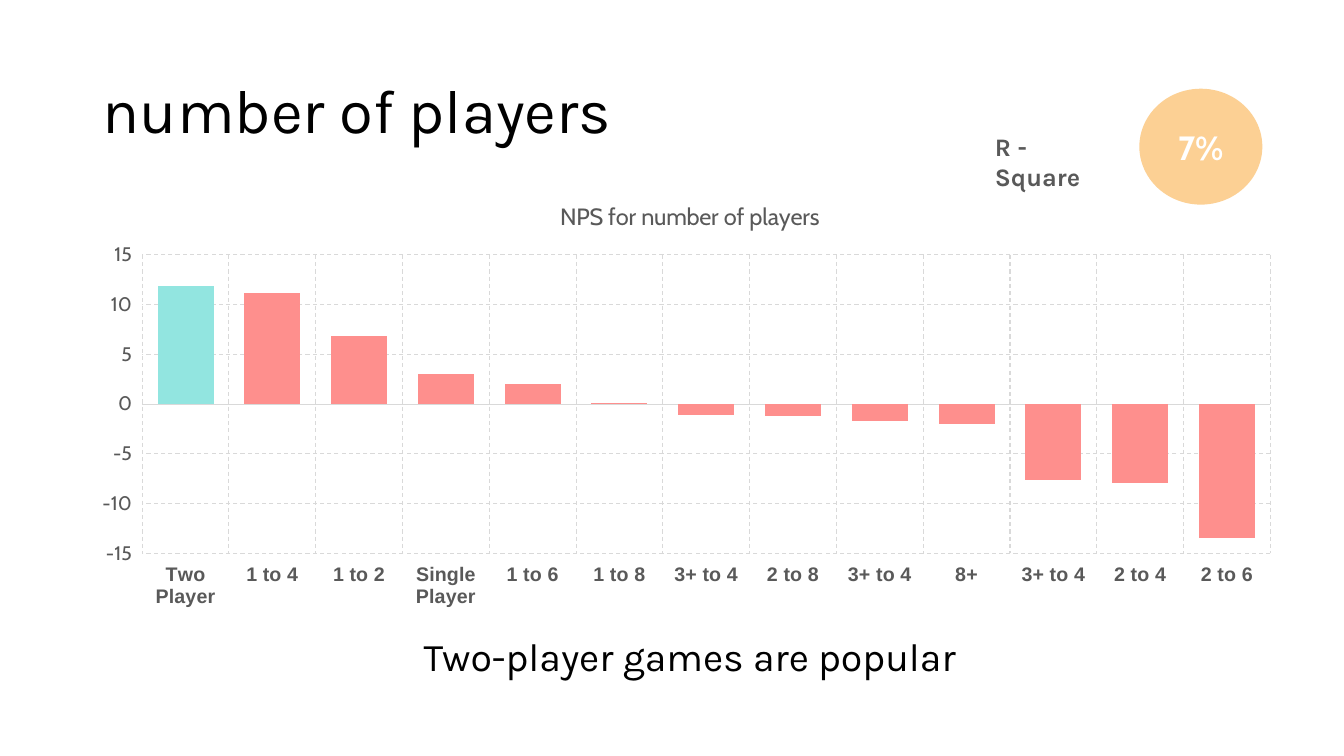
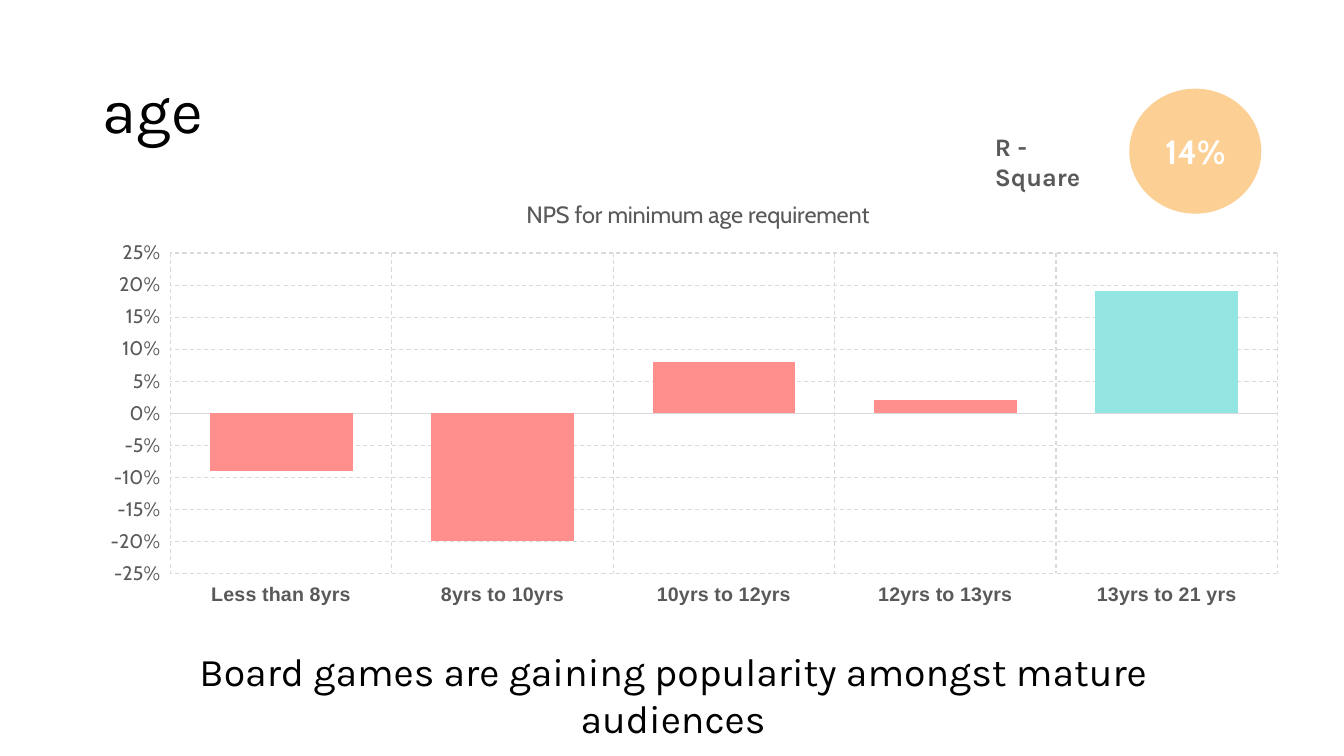
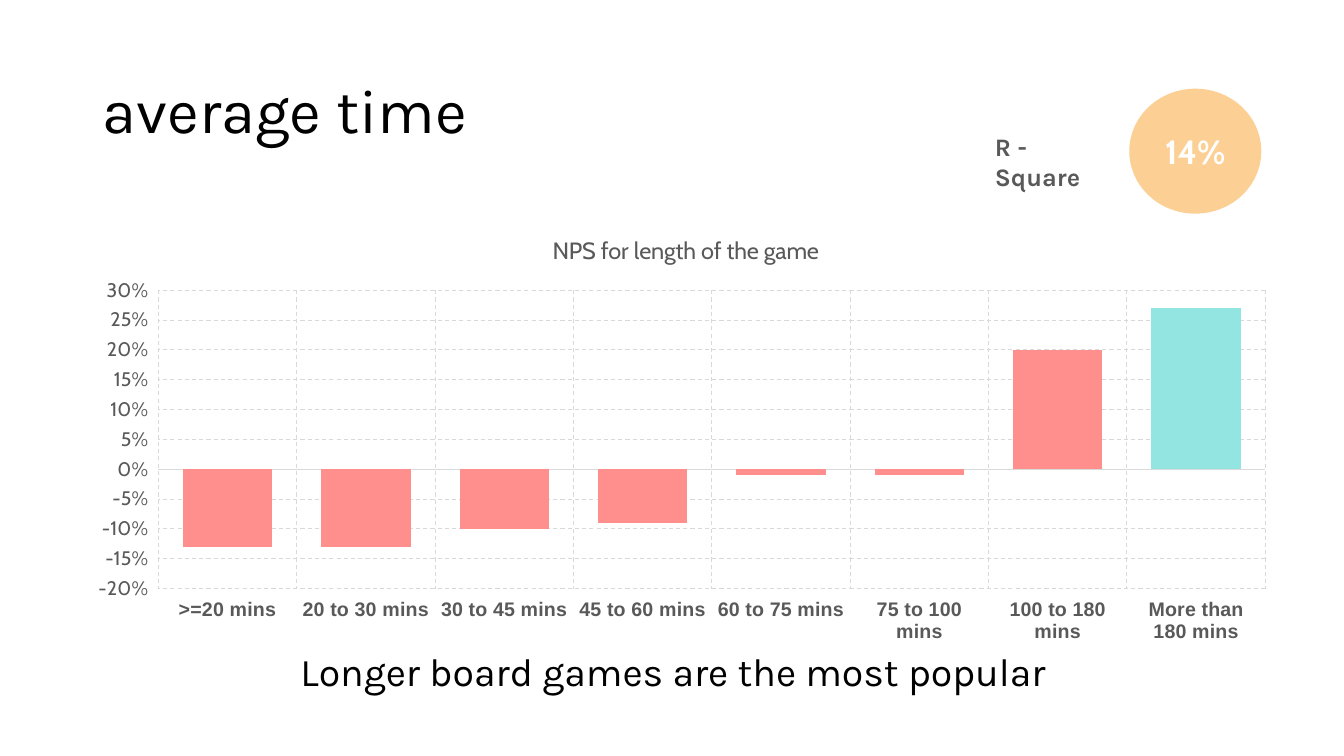
"""Build three slides on how game traits relate to the promoter score."""
from lxml import etree
from pptx import Presentation
from pptx.chart.data import CategoryChartData as Data
from pptx.dml.color import RGBColor
from pptx.enum.chart import XL_CHART_TYPE as Kind, XL_TICK_LABEL_POSITION as Spot, XL_TICK_MARK as Tick
from pptx.enum.dml import MSO_LINE as Dash
from pptx.enum.shapes import MSO_SHAPE as Shape
from pptx.enum.text import MSO_ANCHOR as Anchor, PP_ALIGN as Align
from pptx.oxml.ns import qn
from pptx.util import Inches, Pt

BLACK = RGBColor(0, 0, 0)
WHITE = RGBColor(255, 255, 255)
GRAY = RGBColor(0x59, 0x59, 0x59)
RULE = RGBColor(0xD9, 0xD9, 0xD9)
PEACH = RGBColor(0xFC, 0xD0, 0x94)
CORAL = RGBColor(0xFE, 0x8F, 0x8D)
MINT = RGBColor(0x92, 0xE5, 0xE0)
HEAD, BODY, LABEL = "Karla", "Cabin", "Arial"
WIDE, HIGH = 12, 4.31

PAGES = [
    dict(title="number of players", note="Two-player games are popular",
         note_box=(1.25, 6.22, 11.18, 0.57), share="7%", oval=(11.3, 0.88, 1.22, 1.15),
         spot=(0.84, 1.81), plot=(0.57, 0.72, 11.19, 2.96),
         name="NPS for number of players", scale=(-15, 15, 5), form="General", best=0,
         bars=[("Two Player", 11.9), ("1 to 4", 11.2), ("1 to 2", 6.8), ("Single Player", 3),
               ("1 to 6", 2), ("1 to 8", 0.1), ("3+ to 4", -1.1), ("2 to 8", -1.2),
               ("3+ to 4", -1.7), ("8+", -2), ("3+ to 4", -7.6), ("2 to 4", -7.9),
               ("2 to 6", -13.5)]),
    dict(title="age", note="Board games are gaining popularity amongst mature audiences",
         note_box=(0.92, 6.37, 11.51, 0.57), share="14%", oval=(11.2, 0.88, 1.31, 1.24),
         spot=(0.92, 1.79), plot=(0.77, 0.72, 10.98, 3.18),
         name="NPS for minimum age requirement", scale=(-0.25, 0.25, 0.05), form="0%", best=4,
         bars=[("Less than 8yrs", -0.09), ("8yrs to 10yrs", -0.2), ("10yrs to 12yrs", 0.08),
               ("12yrs to 13yrs", 0.02), ("13yrs to 21 yrs", 0.19)]),
    dict(title="average time", note="Longer board games are the most popular",
         note_box=(0.92, 6.37, 11.51, 0.57), share="14%", oval=(11.2, 0.88, 1.31, 1.24),
         spot=(0.8, 2.15), plot=(0.77, 0.73, 10.98, 2.96),
         name="NPS for length of the game", scale=(-0.2, 0.3, 0.05), form="0%", best=7,
         bars=[(">=20 mins", -0.13), ("20 to 30 mins", -0.13), ("30 to 45 mins", -0.1),
               ("45 to 60 mins", -0.09), ("60 to 75 mins", -0.01), ("75 to 100 mins", -0.01),
               ("100 to 180 mins", 0.2), ("More than 180 mins", 0.27)]),
]


def style(font, size, color, face, bold=False):
    """Set the look of a font."""
    font.size, font.name, font.bold = Pt(size), face, bold
    font.color.rgb = color


def write(frame, text, size=18, color=BLACK, face=HEAD, bold=False,
          align=Align.LEFT, anchor=Anchor.TOP, lines=None):
    """Put one formatted paragraph in a text frame."""
    frame.word_wrap, frame.vertical_anchor = True, anchor
    para = frame.paragraphs[0]
    para.alignment, para.line_spacing = align, lines
    run = para.add_run()
    run.text = text
    style(run.font, size, color, face, bold)


def label(slide, box, text, **look):
    """Add a text box."""
    area = slide.shapes.add_textbox(*map(Inches, box))
    write(area.text_frame, text, **look)


def badge(slide, box, text):
    """Add the R-square label and its oval."""
    label(slide, (9.77, 1.25, 1.4, 0.4), "R - Square", color=GRAY, bold=True)
    oval = slide.shapes.add_shape(Shape.OVAL, *map(Inches, box))
    oval.shadow.inherit = False
    oval.fill.solid()
    oval.fill.fore_color.rgb = PEACH
    oval.line.fill.background()
    write(oval.text_frame, text, size=24, color=WHITE, face=BODY, bold=True,
          align=Align.CENTER, anchor=Anchor.MIDDLE)


def place(chart, box):
    """Fix the inner plot area, given in inches within the chart."""
    area = chart.element.find(".//" + qn("c:plotArea"))
    for old in area.findall(qn("c:layout")):
        area.remove(old)
    layout = etree.Element(qn("c:layout"))
    area.insert(0, layout)
    manual = etree.SubElement(layout, qn("c:manualLayout"))
    parts = [("layoutTarget", "inner"), ("xMode", "edge"), ("yMode", "edge")]
    parts += [(key, f"{size / full:.4f}")
              for key, size, full in zip("xywh", box, (WIDE, HIGH) * 2)]
    for key, val in parts:
        etree.SubElement(manual, qn("c:" + key)).set("val", val)


def trim(axis, face, bold):
    """Style the labels and the dashed grid of an axis."""
    axis.major_tick_mark = axis.minor_tick_mark = Tick.NONE
    axis.tick_label_position = Spot.LOW
    style(axis.tick_labels.font, 14, GRAY, face, bold)
    axis.has_major_gridlines = True
    grid = axis.major_gridlines.format.line
    grid.color.rgb, grid.width, grid.dash_style = RULE, Pt(0.75), Dash.DASH


def graph(slide, spot, plot, name, scale, form, best, bars):
    """Add the column chart with its best bar picked out."""
    data = Data(number_format=form)
    data.categories = [key for key, _ in bars]
    data.add_series("Series 1", [val for _, val in bars])
    box = map(Inches, (*spot, WIDE, HIGH))
    chart = slide.shapes.add_chart(Kind.COLUMN_CLUSTERED, *box, data).chart
    style(chart.font, 14, BLACK, BODY)
    chart.has_legend = False
    chart.has_title = True
    write(chart.chart_title.text_frame, name, size=16.8, color=GRAY, face=BODY,
          align=Align.CENTER)
    place(chart, plot)
    cats, vals = chart.category_axis, chart.value_axis
    trim(cats, LABEL, True)
    trim(vals, BODY, False)
    cats.format.line.color.rgb, cats.format.line.width = RULE, Pt(0.75)
    vals.format.line.fill.background()
    vals.minimum_scale, vals.maximum_scale, vals.major_unit = scale
    vals.tick_labels.number_format = form
    vals.tick_labels.number_format_is_linked = False
    group = chart.plots[0]
    group.gap_width, group.overlap, group.vary_by_categories = 55, -27, False
    series = group.series[0]
    series.invert_if_negative = False
    for part, color in ((series, CORAL), (series.points[best], MINT)):
        part.format.fill.solid()
        part.format.fill.fore_color.rgb = color


def page(deck, title, note, note_box, share, oval, **chart):
    """Add one slide: title, chart, badge and takeaway."""
    slide = deck.slides.add_slide(deck.slide_layouts[6])
    label(slide, (0.92, 0.4, 11.5, 1.45), title, size=44, anchor=Anchor.MIDDLE, lines=0.9)
    label(slide, note_box, note, size=28, align=Align.CENTER)
    badge(slide, oval, share)
    graph(slide, **chart)


def main():
    """Build and save the deck."""
    deck = Presentation()
    deck.slide_width, deck.slide_height = Inches(13.33), Inches(7.5)
    for item in PAGES:
        page(deck, **item)
    deck.save("out.pptx")


if __name__ == "__main__":
    main()
